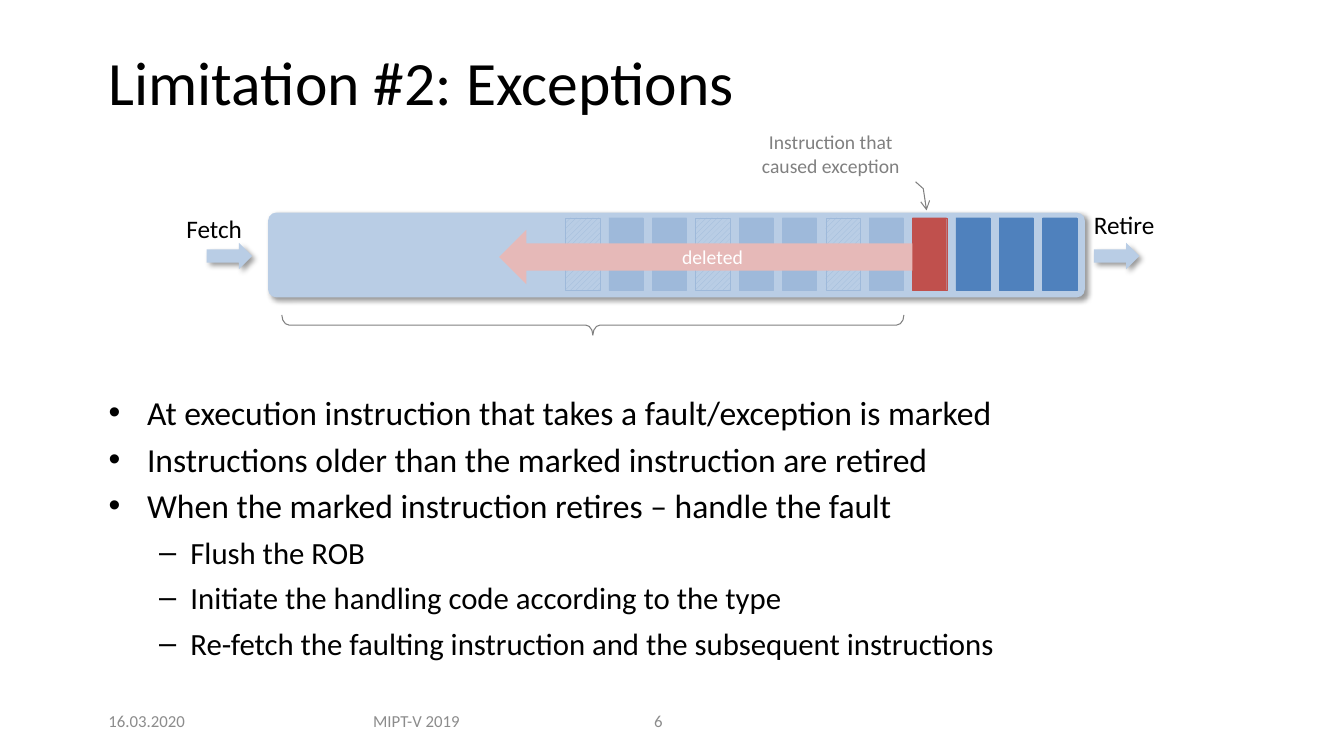
from lxml.etree import SubElement
from pptx import Presentation
from pptx.dml.color import RGBColor
from pptx.enum.dml import MSO_PATTERN as Pattern
from pptx.enum.shapes import MSO_SHAPE as Shape
from pptx.enum.text import MSO_ANCHOR as Anchor, PP_ALIGN as Align
from pptx.oxml.ns import qn
from pptx.util import Inches, Pt

BLACK, GRAY, FOOTER_GRAY, WHITE = "000000", "808080", "8C8C8C", "FFFFFF"
PALE_BLUE, BLUE, RED, PINK = "B9CDE5", "4F81BD", "C0504D", "E6B9B8"
CELL_COUNT, CELL_PITCH = 12, 0.43
HATCHED_CELLS, FAULT_CELL = (0, 3, 6), 8
BULLETS = [
    (0, "At execution instruction that takes a fault/exception is marked"),
    (0, "Instructions older than the marked instruction are retired"),
    (0, "When the marked instruction retires – handle the fault"),
    (1, "Flush the ROB"),
    (1, "Initiate the handling code according to the type"),
    (1, "Re-fetch the faulting instruction and the subsequent instructions"),
]
# Per level: marker, left margin, hanging indent, text size, space before
LEVELS = [("•", 0.38, 0.38, 24, 4.3), ("–", 0.81, 0.31, 22, 6)]


def color(value):
    """Turn a hex string into a colour."""
    return RGBColor.from_string(value)


def add_run(paragraph, text, size, font_color):
    """Append a formatted run to a paragraph."""
    run = paragraph.add_run()
    run.text = text
    run.font.name = "Calibri"
    run.font.size = Pt(size)
    run.font.color.rgb = color(font_color)


def add_text(slide, box, text, size, font_color=BLACK, align=Align.LEFT,
             anchor=Anchor.MIDDLE, wrap=True):
    """Add a text box with one paragraph and return that paragraph."""
    frame = slide.shapes.add_textbox(*map(Inches, box)).text_frame
    frame.word_wrap = wrap
    frame.vertical_anchor = anchor
    paragraph = frame.paragraphs[0]
    paragraph.alignment = align
    add_run(paragraph, text, size, font_color)
    return paragraph


def add_shape(slide, kind, box, fill=None, line=None, width=0.25, adjustments=()):
    """Add a preset shape without shadow, filled and outlined as asked."""
    shape = slide.shapes.add_shape(kind, *map(Inches, box))
    shape.shadow.inherit = False
    for index, value in enumerate(adjustments):
        shape.adjustments[index] = value
    if fill:
        shape.fill.solid()
        shape.fill.fore_color.rgb = color(fill)
    else:
        shape.fill.background()
    if line:
        shape.line.color.rgb = color(line)
        shape.line.width = Pt(width)
    else:
        shape.line.fill.background()
    return shape


def label_shape(shape, text, size, font_color):
    """Write centred text inside a shape."""
    frame = shape.text_frame
    frame.word_wrap = True
    frame.vertical_anchor = Anchor.MIDDLE
    frame.paragraphs[0].alignment = Align.CENTER
    add_run(frame.paragraphs[0], text, size, font_color)


def add_shadow(shape):
    """Give a shape a soft shadow to the lower right."""
    effects = shape._element.spPr.find(qn("a:effectLst"))
    shadow = SubElement(effects, qn("a:outerShdw"), blurRad=str(Pt(4)),
                        dist=str(Pt(3)), dir="2700000", algn="tl", rotWithShape="0")
    tint = SubElement(shadow, qn("a:srgbClr"), val=BLACK)
    SubElement(tint, qn("a:alpha"), val="40000")


def set_opacity(shape, percent):
    """Make the solid fill of a shape partly transparent."""
    tint = shape._element.spPr.find(qn("a:solidFill")).find(qn("a:srgbClr"))
    SubElement(tint, qn("a:alpha"), val=str(percent * 1000))


def add_cell(slide, index):
    """Add one instruction cell of the reorder buffer."""
    shade = RED if index == FAULT_CELL else BLUE
    box = (5.61 + index * CELL_PITCH, 2.16, 0.34, 0.72)
    cell = add_shape(slide, Shape.RECTANGLE, box, shade, shade)
    if index in HATCHED_CELLS:
        cell.fill.patterned()
        cell.fill.pattern = Pattern.WIDE_UPWARD_DIAGONAL
        cell.fill.fore_color.rgb = color(BLUE)
        cell.fill.back_color.rgb = color(PALE_BLUE)


def add_buffer(slide):
    """Draw the buffer with its cells, fetch and retire arrows."""
    add_shadow(add_shape(slide, Shape.ROUNDED_RECTANGLE, (2.66, 2.11, 8.1, 0.84),
                         PALE_BLUE, adjustments=[0.094]))
    for left in (2.05, 10.85):
        add_shadow(add_shape(slide, Shape.RIGHT_ARROW, (left, 2.41, 0.45, 0.26), PALE_BLUE))
    add_text(slide, (1.75, 2.07, 0.76, 0.4), "Fetch", 18, anchor=Anchor.TOP, wrap=False)
    add_text(slide, (10.75, 2.03, 0.81, 0.4), "Retire", 18, anchor=Anchor.TOP, wrap=False)
    for index in range(CELL_COUNT):
        add_cell(slide, index)


def add_callout(slide):
    """Point at the instruction that raised the exception."""
    callout = add_shape(slide, Shape.LINE_CALLOUT_2_NO_BORDER, (7.33, 1.19, 1.82, 0.67),
                        line=GRAY, width=0.75,
                        adjustments=[0.916, 0.962, 1.018, 1.004, 1.34, 1.022])
    SubElement(callout._element.spPr.find(qn("a:ln")), qn("a:tailEnd"), type="arrow")
    label_shape(callout, "Instruction that caused exception", 14, GRAY)


def add_deletion(slide):
    """Fade the younger instructions and cross them with an arrow."""
    brace = add_shape(slide, Shape.RIGHT_BRACE, (5.78, 0.14, 0.2, 6.17), line=GRAY,
                      width=0.75, adjustments=[0.358, 0.5])
    brace.rotation = 90
    set_opacity(add_shape(slide, Shape.RECTANGLE, (5.07, 2.14, 3.91, 0.78), PALE_BLUE), 75)
    arrow = add_shape(slide, Shape.LEFT_ARROW, (4.95, 2.28, 4.1, 0.54), PINK)
    label_shape(arrow, "deleted", 14, WHITE)


def add_bullets(slide, box, items):
    """Add a two-level bullet list."""
    frame = slide.shapes.add_textbox(*map(Inches, box)).text_frame
    frame.word_wrap = True
    for index, (level, text) in enumerate(items):
        marker, margin, hanging, size, space = LEVELS[level]
        paragraph = frame.add_paragraph() if index else frame.paragraphs[0]
        paragraph.level = level
        paragraph.space_before = Pt(space)
        properties = paragraph._p.get_or_add_pPr()
        properties.set("marL", str(Inches(margin)))
        properties.set("indent", str(-Inches(hanging)))
        SubElement(properties, qn("a:buFont"), typeface="Arial")
        SubElement(properties, qn("a:buChar"), char=marker)
        add_run(paragraph, text, size, BLACK)


def main():
    """Build the slide and save it."""
    presentation = Presentation()
    presentation.slide_width = Inches(13.33)
    presentation.slide_height = Inches(7.5)
    slide = presentation.slides.add_slide(presentation.slide_layouts[6])
    title = add_text(slide, (0.98, 0.39, 9.06, 0.91), "Limitation #2: Exceptions", 44)
    title.line_spacing = 0.9
    add_buffer(slide)
    add_callout(slide)
    add_deletion(slide)
    add_bullets(slide, (0.98, 3.84, 12.01, 3.12), BULLETS)
    for left, width, text, align in [(0.92, 1.07, "16.03.2020", Align.CENTER),
                                     (3.34, 1.58, "MIPT-V 2019", Align.CENTER),
                                     (6.39, 0.79, "6", Align.LEFT)]:
        add_text(slide, (left, 6.95, width, 0.4), text, 12, FOOTER_GRAY, align)
    presentation.save("out.pptx")


if __name__ == "__main__":
    main()
